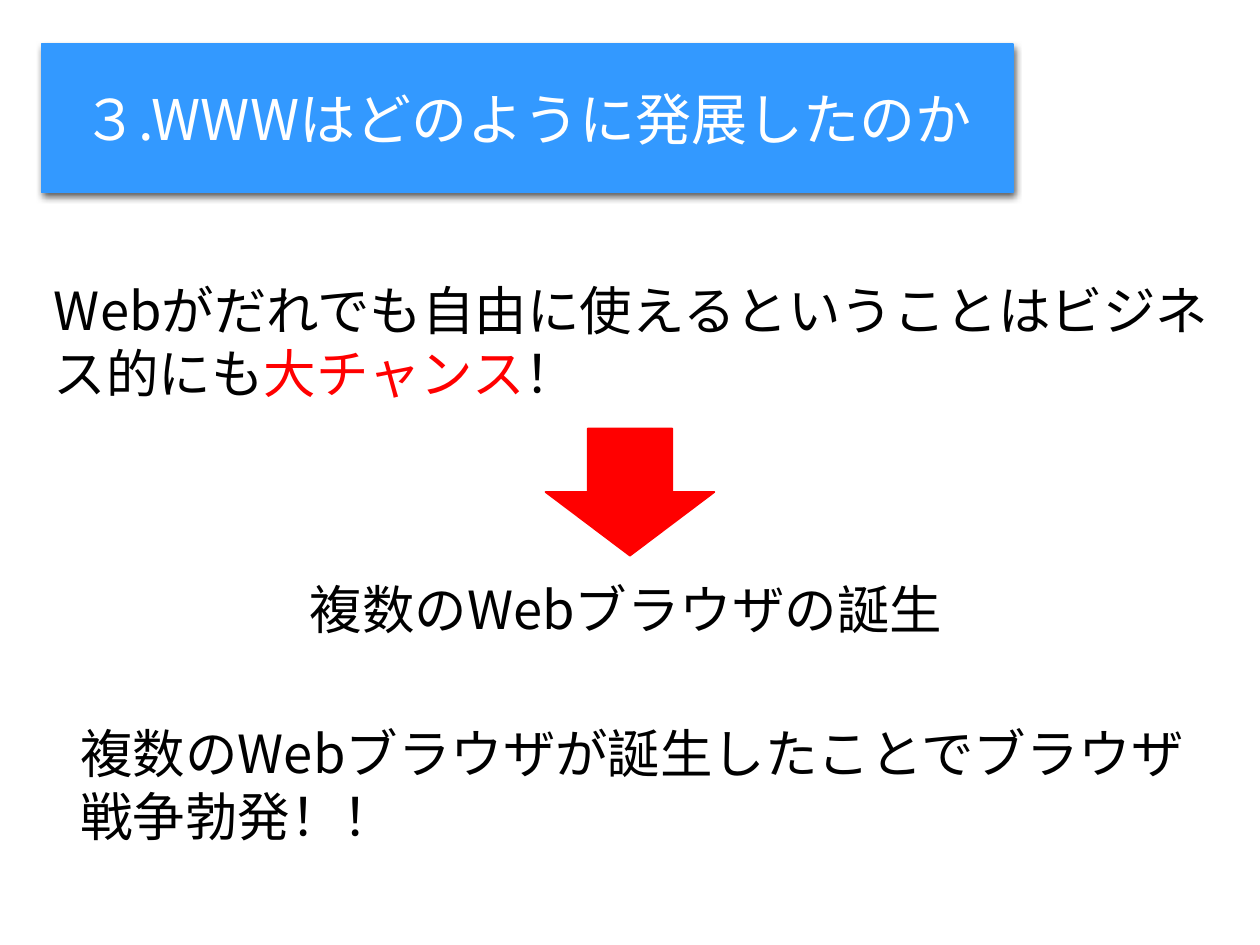
from dataclasses import dataclass

from lxml import etree
from pptx import Presentation
from pptx import util as u
from pptx.dml.color import RGBColor
from pptx.enum import shapes, text
from pptx.oxml import ns


@dataclass(frozen=True)
class Theme:
    font: str = "Noto Sans CJK JP"
    title_size: int = 32
    body_size: int = 30
    banner: str = "3399FF"
    accent: str = "FF0000"
    ink: str = "000000"
    paper: str = "FFFFFF"


THEME = Theme()


def add_span(para, content, size=THEME.body_size, color=THEME.ink):
    span = para.add_run()
    span.text = content
    span.font.name = THEME.font
    span.font.size = u.Pt(size)
    span.font.color.rgb = RGBColor.from_string(color)
    east_asian = etree.SubElement(span.font._element, ns.qn("a:ea"))
    east_asian.set("typeface", THEME.font)


def add_block(page, kind, place, color, line_width):
    block = page.shapes.add_shape(kind, *map(u.Inches, place))
    block.shadow.inherit = False
    block.fill.solid()
    block.fill.fore_color.rgb = RGBColor.from_string(color)
    block.line.color.rgb = RGBColor.from_string(color)
    block.line.width = u.Pt(line_width)
    return block


def add_shadow(block, blur, distance, angle, opacity):
    effects = block._element.spPr.find(ns.qn("a:effectLst"))
    shadow = etree.SubElement(
        effects, ns.qn("a:outerShdw"), blurRad=str(u.Pt(blur)),
        dist=str(u.Pt(distance)), dir=str(angle * 60000), rotWithShape="0")
    shade = etree.SubElement(shadow, ns.qn("a:srgbClr"), val=THEME.ink)
    etree.SubElement(shade, ns.qn("a:alpha"), val=str(opacity * 1000))


def add_banner(page, place, title):
    banner = add_block(page, shapes.MSO_SHAPE.RECTANGLE, place, THEME.banner, 0.75)
    add_shadow(banner, blur=4.5, distance=1.5, angle=90, opacity=63)
    banner.text_frame.vertical_anchor = text.MSO_ANCHOR.MIDDLE
    para = banner.text_frame.paragraphs[0]
    para.alignment = text.PP_ALIGN.CENTER
    add_span(para, title, size=THEME.title_size, color=THEME.paper)


def add_statement(page, place, lines):
    box = page.shapes.add_textbox(*map(u.Inches, place))
    frame = box.text_frame
    frame.word_wrap = True
    frame.auto_size = text.MSO_AUTO_SIZE.SHAPE_TO_FIT_TEXT
    for index, line in enumerate(lines):
        para = frame.add_paragraph() if index else frame.paragraphs[0]
        for content, color in line:
            add_span(para, content, color=color)


def main():
    deck = Presentation()
    deck.slide_width, deck.slide_height = u.Inches(10), u.Inches(7.5)
    page = deck.slides.add_slide(deck.slide_layouts[6])
    ink, accent = THEME.ink, THEME.accent

    add_banner(page, (0.33, 0.35, 7.71, 1.18), "３.WWWはどのように発展したのか")
    add_statement(page, (0.33, 2.16, 9.49, 1.11), [
        [("Webがだれでも自由に使えるということはビジネ", ink)],
        [("ス的にも", ink), ("大チャンス", accent), ("！", ink)],
    ])
    add_block(page, shapes.MSO_SHAPE.DOWN_ARROW, (4.33, 3.4, 1.34, 1.01), accent, 1)
    add_statement(page, (2.36, 4.53, 5.28, 0.61), [[("複数のWebブラウザの誕生", ink)]])
    add_statement(page, (0.54, 5.67, 9.07, 1.11), [
        [("複数のWebブラウザが誕生したことでブラウザ", ink)],
        [("戦争勃発！！", ink)],
    ])
    deck.save("out.pptx")


if __name__ == "__main__":
    main()
